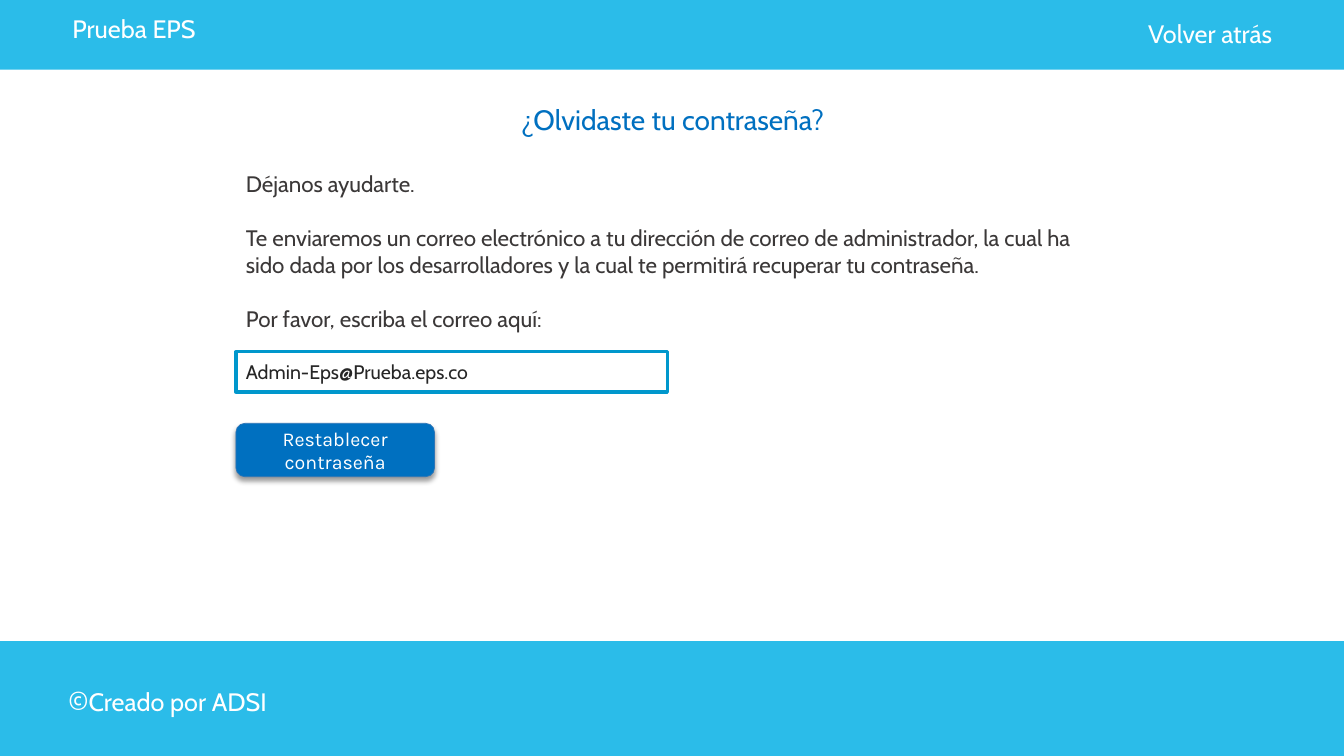
from dataclasses import dataclass

from lxml import etree
from pptx import Presentation
from pptx.dml.color import RGBColor
from pptx.enum.shapes import MSO_SHAPE
from pptx.enum.text import MSO_ANCHOR, MSO_AUTO_SIZE, PP_ALIGN
from pptx.oxml.ns import qn
from pptx.util import Inches, Pt

RECT, ROUNDED = MSO_SHAPE.RECTANGLE, MSO_SHAPE.ROUNDED_RECTANGLE
LEFT, CENTER = PP_ALIGN.LEFT, PP_ALIGN.CENTER
MIDDLE = MSO_ANCHOR.MIDDLE
GROW = MSO_AUTO_SIZE.SHAPE_TO_FIT_TEXT

SKY, BLUE, WHITE = "2BBCE9", "0070C0", "FFFFFF"
DARK, INK = "3B3838", "262626"
WIDTH, HEIGHT = 13.33, 7.5
FORM_LEFT = 2.34


@dataclass
class Run:
    text: str
    size: float = 18
    color: str = WHITE
    font: str = "Cabin"


@dataclass
class Para:
    runs: list[Run]
    align: PP_ALIGN = LEFT
    after: float = 0


@dataclass
class Box:
    left: float
    top: float
    width: float
    height: float


def rgb(value: str) -> RGBColor:
    return RGBColor.from_string(value)


def write(tf, paras: list[Para]) -> None:
    for i, para in enumerate(paras):
        p = tf.paragraphs[0] if i == 0 else tf.add_paragraph()
        p.alignment = para.align
        p.space_after = Pt(para.after)
        for run in para.runs:
            r = p.add_run()
            r.text = run.text
            r.font.size = Pt(run.size)
            r.font.name = run.font
            r.font.color.rgb = rgb(run.color)


def place(box: Box) -> list[int]:
    return [Inches(v) for v in (box.left, box.top, box.width, box.height)]


def add_shape(s, kind, box: Box, fill: str, line: str = "", line_width: float = 0,
              paras: list[Para] | None = None):
    sp = s.shapes.add_shape(kind, *place(box))
    sp.shadow.inherit = False
    sp.fill.solid()
    sp.fill.fore_color.rgb = rgb(fill)
    if line:
        sp.line.color.rgb = rgb(line)
        sp.line.width = Pt(line_width)
    else:
        sp.line.fill.background()
    if paras:
        sp.text_frame.word_wrap = True
        sp.text_frame.vertical_anchor = MIDDLE
        write(sp.text_frame, paras)
    return sp


def add_text(s, box: Box, paras: list[Para], wrap: bool = False) -> None:
    tf = s.shapes.add_textbox(*place(box)).text_frame
    tf.word_wrap = wrap
    tf.auto_size = GROW
    write(tf, paras)


def add_drop_shadow(sp, blur: float, distance: float, opacity: int) -> None:
    effects = sp._element.spPr.find(qn("a:effectLst"))
    shadow = etree.SubElement(effects, qn("a:outerShdw"), blurRad=str(Pt(blur)),
                              dist=str(Pt(distance)), dir="5400000", algn="t", rotWithShape="0")
    color = etree.SubElement(shadow, qn("a:srgbClr"), val="000000")
    etree.SubElement(color, qn("a:alpha"), val=str(opacity * 1000))


prs = Presentation()
prs.slide_width, prs.slide_height = Inches(WIDTH), Inches(HEIGHT)
s = prs.slides.add_slide(prs.slide_layouts[6])

# Header bar
add_shape(s, RECT, Box(0, 0, WIDTH, 0.69), SKY)
add_text(s, Box(0.62, 0.08, 1.46, 0.4), [Para([Run("Prueba EPS")])])
add_text(s, Box(11.29, 0.13, 1.47, 0.4), [Para([Run("Volver atrás")])])

# Footer bar
add_shape(s, RECT, Box(0, 6.36, WIDTH, 1.14), SKY)
add_text(s, Box(0.58, 6.73, 2.2, 0.44), [Para([Run("©", 20), Run("Creado por ADSI")])])

# Title and instructions
instructions = [
    "Déjanos ayudarte.",
    "Te enviaremos un correo electrónico a tu dirección de correo de administrador, "
    "la cual ha sido dada por los desarrolladores y la cual te permitirá recuperar "
    "tu contraseña.",
    "Por favor, escriba el correo aquí:",
]
title = Para([Run("¿Olvidaste tu contraseña?", 20, BLUE)], CENTER, after=24.3)
body = [Para([Run(text, 16, DARK)], after=19.2) for text in instructions]
body[-1].after = 0
add_text(s, Box(FORM_LEFT, 0.97, 8.66, 2.39), [title, *body], wrap=True)

# E-mail field
add_shape(s, RECT, Box(FORM_LEFT, 3.49, 4.28, 0.4), WHITE, "0097CC", 2.25,
          [Para([Run("Admin-Eps@Prueba.eps.co", 14, INK)])])

# Reset button
button = add_shape(s, ROUNDED, Box(FORM_LEFT, 4.2, 1.97, 0.53), BLUE, "2E75B6", 0.5,
                   [Para([Run("Restablecer contraseña", 14, WHITE, "Karla")], CENTER)])
add_drop_shadow(button, blur=4, distance=3, opacity=40)

prs.save("out.pptx")
